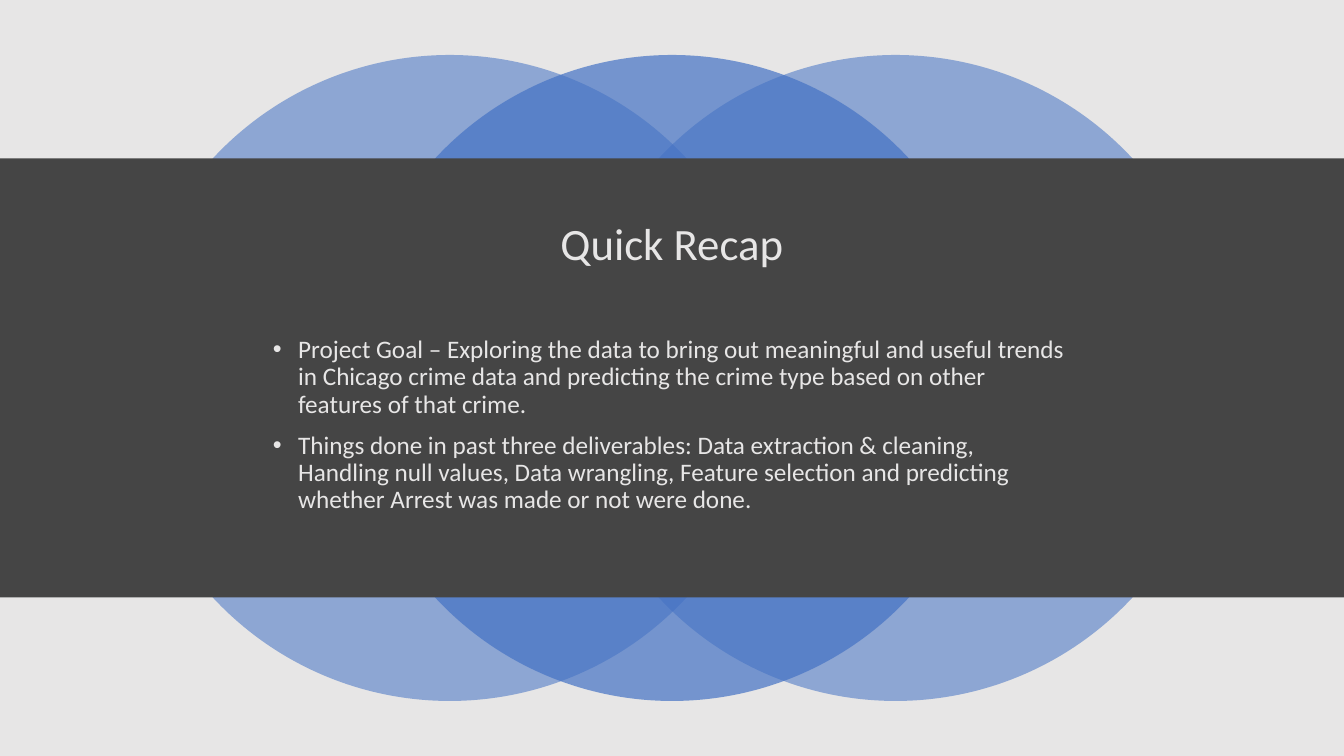
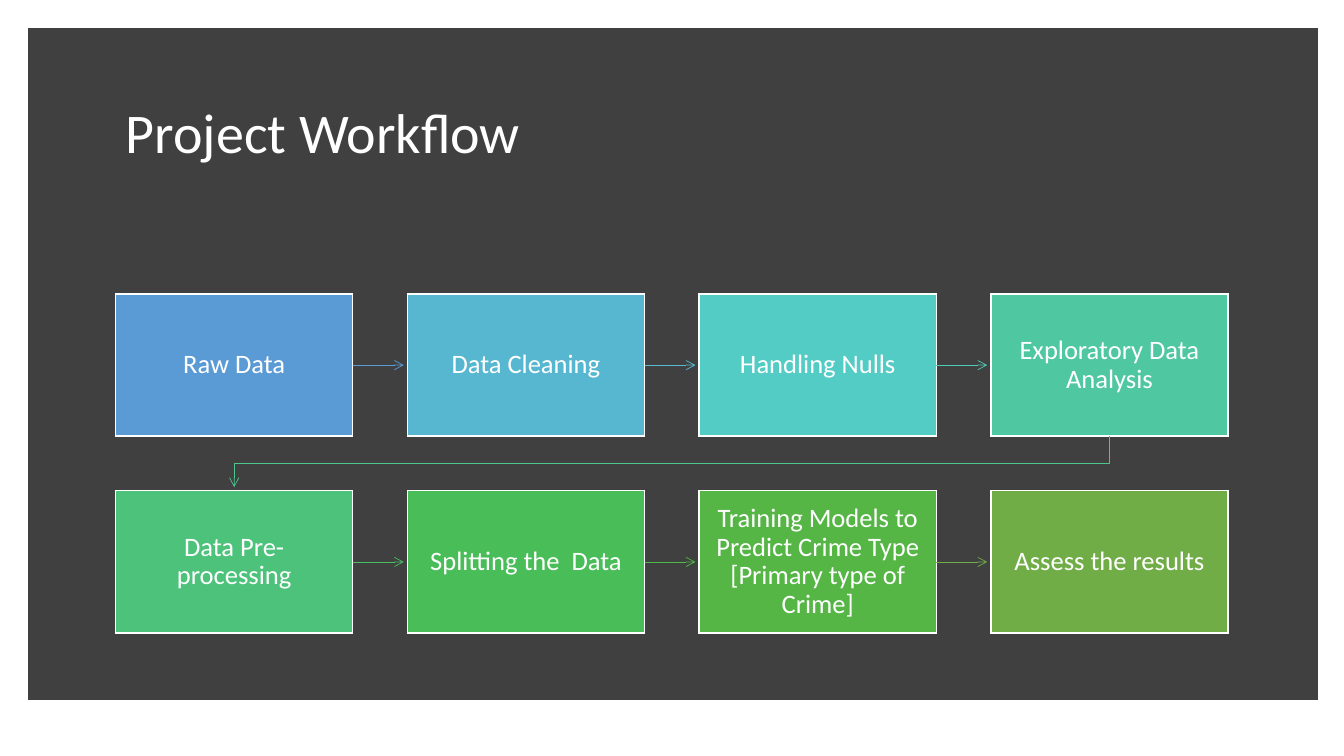
from dataclasses import dataclass

from lxml.etree import SubElement
from pptx import Presentation
from pptx.dml.color import RGBColor
from pptx.enum.shapes import MSO_CONNECTOR, MSO_SHAPE
from pptx.enum.text import MSO_ANCHOR, MSO_AUTO_SIZE, PP_ALIGN
from pptx.oxml.ns import qn
from pptx.util import Pt

FONT = "Calibri"
LINE_SPACING = 0.9
SLIDE_WIDTH, SLIDE_HEIGHT = 960, 540
COLORS = {
    "white": "FFFFFF",
    "light": "E7E6E6",
    "band": "454545",
    "panel": "404040",
    "circle": "4472C4",
}


@dataclass(frozen=True)
class Area:
    left: float
    top: float
    width: float
    height: float

    def lengths(self) -> tuple:
        return Pt(self.left), Pt(self.top), Pt(self.width), Pt(self.height)


@dataclass(frozen=True)
class Circle:
    left: float
    opacity: int


@dataclass(frozen=True)
class Step:
    label: str
    fill: str
    arrow: str = ""


CIRCLE_TOP, CIRCLE_SIZE = 39.3, 461.4
CIRCLES = [Circle(90.5, 55), Circle(409, 55), Circle(249.3, 70)]

RECAP_POINTS = [
    "Project Goal – Exploring the data to bring out meaningful and useful trends in Chicago "
    "crime data and predicting the crime type based on other features of that crime.",
    "Things done in past three deliverables: Data extraction & cleaning, Handling null values, "
    "Data wrangling, Feature selection and predicting whether Arrest was made or not were done.",
]

STEPS = [
    Step("Raw Data", "5B9BD5", "5B9BD5"),
    Step("Data Cleaning", "57B7D1", "56BCD0"),
    Step("Handling Nulls", "53CCC5", "52CAB8"),
    Step("Exploratory Data Analysis", "4FC7A0", "4DC58D"),
    Step("Data Pre-processing", "4CC27B", "49BF64"),
    Step("Splitting the  Data", "48BD58", "50B846"),
    Step("Training Models to Predict Crime Type [Primary type of Crime]", "55B646", "70AD47"),
    Step("Assess the results", "70AD47"),
]
COLUMNS = 4
STEP_LEFT, STEP_TOP = 82.6, 210
STEP_WIDTH, STEP_HEIGHT = 169.4, 101.6
COLUMN_PITCH, ROW_PITCH = 208.4, 140.6
ARROW_GAP = 2.6
STEP_INSET = 8.6


def rgb(color: str) -> RGBColor:
    return RGBColor.from_string(color)


def set_background(slide, color: str) -> None:
    slide.background.fill.solid()
    slide.background.fill.fore_color.rgb = rgb(color)


def format_paragraph(paragraph, size: float, color: str, alignment) -> None:
    paragraph.alignment = alignment
    paragraph.line_spacing = LINE_SPACING
    for run in paragraph.runs:
        run.font.name = FONT
        run.font.size = Pt(size)
        run.font.color.rgb = rgb(color)


def add_filled_shape(slide, kind, area: Area, fill: str, line: str = "",
                     line_width: float = 0, opacity: int = 100):
    shape = slide.shapes.add_shape(kind, *area.lengths())
    shape.shadow.inherit = False
    shape.fill.solid()
    shape.fill.fore_color.rgb = rgb(fill)
    if opacity < 100:
        color_element = shape._element.spPr.find(qn("a:solidFill")).find(qn("a:srgbClr"))
        SubElement(color_element, qn("a:alpha")).set("val", str(opacity * 1000))
    if line:
        shape.line.color.rgb = rgb(line)
        shape.line.width = Pt(line_width)
        SubElement(shape.line._get_or_add_ln(), qn("a:miter")).set("lim", "800000")
    else:
        shape.line.fill.background()
    return shape


def place_placeholder(slide, placeholder, area: Area) -> None:
    placeholder.left, placeholder.top, placeholder.width, placeholder.height = area.lengths()
    placeholder.text_frame.word_wrap = True
    placeholder.text_frame.auto_size = MSO_AUTO_SIZE.NONE
    slide.shapes._spTree.append(placeholder._element)


def set_title(slide, text: str, area: Area, size: float, color: str, alignment) -> None:
    title = slide.shapes.title
    place_placeholder(slide, title, area)
    title.text_frame.text = text
    title.text_frame.vertical_anchor = MSO_ANCHOR.MIDDLE
    format_paragraph(title.text_frame.paragraphs[0], size, color, alignment)


def set_bullets(slide, points: list[str], area: Area, size: float, color: str) -> None:
    body = slide.placeholders[1]
    place_placeholder(slide, body, area)
    text_frame = body.text_frame
    text_frame.vertical_anchor = MSO_ANCHOR.TOP
    for index, point in enumerate(points):
        paragraph = text_frame.add_paragraph() if index else text_frame.paragraphs[0]
        paragraph.text = point
        properties = paragraph._p.get_or_add_pPr()
        properties.set("marL", str(Pt(18)))
        properties.set("indent", str(-Pt(18)))
        SubElement(properties, qn("a:buFont")).set("typeface", "Arial")
        SubElement(properties, qn("a:buChar")).set("char", "•")
        paragraph.space_before = Pt(10 if index else 0)
        format_paragraph(paragraph, size, color, PP_ALIGN.LEFT)


def style_arrow(line, color: str) -> None:
    line.color.rgb = rgb(color)
    line.width = Pt(0.5)
    SubElement(line._get_or_add_ln(), qn("a:tailEnd")).set("type", "arrow")


def add_step_box(slide, step: Step, area: Area):
    box = add_filled_shape(slide, MSO_SHAPE.RECTANGLE, area, step.fill, COLORS["white"], 1)
    text_frame = box.text_frame
    text_frame.text = step.label
    text_frame.word_wrap = True
    text_frame.vertical_anchor = MSO_ANCHOR.MIDDLE
    text_frame.margin_left = text_frame.margin_right = Pt(STEP_INSET)
    text_frame.margin_top = text_frame.margin_bottom = Pt(STEP_INSET)
    format_paragraph(text_frame.paragraphs[0], 19, COLORS["white"], PP_ALIGN.CENTER)
    return box


def add_straight_arrow(slide, box, area: Area, following: Area, color: str) -> None:
    middle = Pt(area.top + area.height / 2)
    connector = slide.shapes.add_connector(
        MSO_CONNECTOR.STRAIGHT, Pt(area.left + area.width), middle,
        Pt(following.left - ARROW_GAP), middle)
    connector.begin_connect(box, 3)
    style_arrow(connector.line, color)
    SubElement(connector._element.spPr, qn("a:effectLst"))


def add_return_arrow(slide, area: Area, following: Area, color: str) -> None:
    start_x = Pt(area.left + area.width / 2)
    end_x = Pt(following.left + following.width / 2)
    bottom = area.top + area.height
    turn_y = Pt((bottom + following.top) / 2)
    builder = slide.shapes.build_freeform(start_x, Pt(bottom))
    builder.add_line_segments(
        [(start_x, turn_y), (end_x, turn_y), (end_x, Pt(following.top - ARROW_GAP))],
        close=False)
    arrow = builder.convert_to_shape()
    arrow.shadow.inherit = False
    arrow.fill.background()
    style_arrow(arrow.line, color)


def step_area(index: int) -> Area:
    row, column = divmod(index, COLUMNS)
    return Area(STEP_LEFT + column * COLUMN_PITCH, STEP_TOP + row * ROW_PITCH,
                STEP_WIDTH, STEP_HEIGHT)


def build_recap(presentation) -> None:
    slide = presentation.slides.add_slide(presentation.slide_layouts[1])
    set_background(slide, COLORS["band"])
    add_filled_shape(slide, MSO_SHAPE.RECTANGLE, Area(0, 0, SLIDE_WIDTH, SLIDE_HEIGHT),
                     COLORS["light"])
    for circle in CIRCLES:
        add_filled_shape(slide, MSO_SHAPE.OVAL,
                         Area(circle.left, CIRCLE_TOP, CIRCLE_SIZE, CIRCLE_SIZE),
                         COLORS["circle"], opacity=circle.opacity)
    add_filled_shape(slide, MSO_SHAPE.RECTANGLE, Area(0, 113.2, SLIDE_WIDTH, 313.5),
                     COLORS["band"])
    set_title(slide, "Quick Recap", Area(66, 139, 828, 73.4), 32, COLORS["light"],
              PP_ALIGN.CENTER)
    set_bullets(slide, RECAP_POINTS, Area(187.8, 237, 584.6, 166.3), 18, COLORS["light"])


def build_workflow(presentation) -> None:
    slide = presentation.slides.add_slide(presentation.slide_layouts[5])
    set_background(slide, COLORS["white"])
    add_filled_shape(slide, MSO_SHAPE.RECTANGLE, Area(25.2, 25.2, 911.5, 470.2),
                     COLORS["panel"], COLORS["panel"], 10)
    set_title(slide, "Project Workflow", Area(82.8, 62, 811.4, 69), 40, COLORS["white"],
              PP_ALIGN.LEFT)
    for index, step in enumerate(STEPS):
        area, following = step_area(index), step_area(index + 1)
        box = add_step_box(slide, step, area)
        if not step.arrow:
            continue
        if following.top == area.top:
            add_straight_arrow(slide, box, area, following, step.arrow)
        else:
            add_return_arrow(slide, area, following, step.arrow)


def main() -> None:
    presentation = Presentation()
    presentation.slide_width = Pt(SLIDE_WIDTH)
    presentation.slide_height = Pt(SLIDE_HEIGHT)
    build_recap(presentation)
    build_workflow(presentation)
    presentation.save("out.pptx")


if __name__ == "__main__":
    main()
